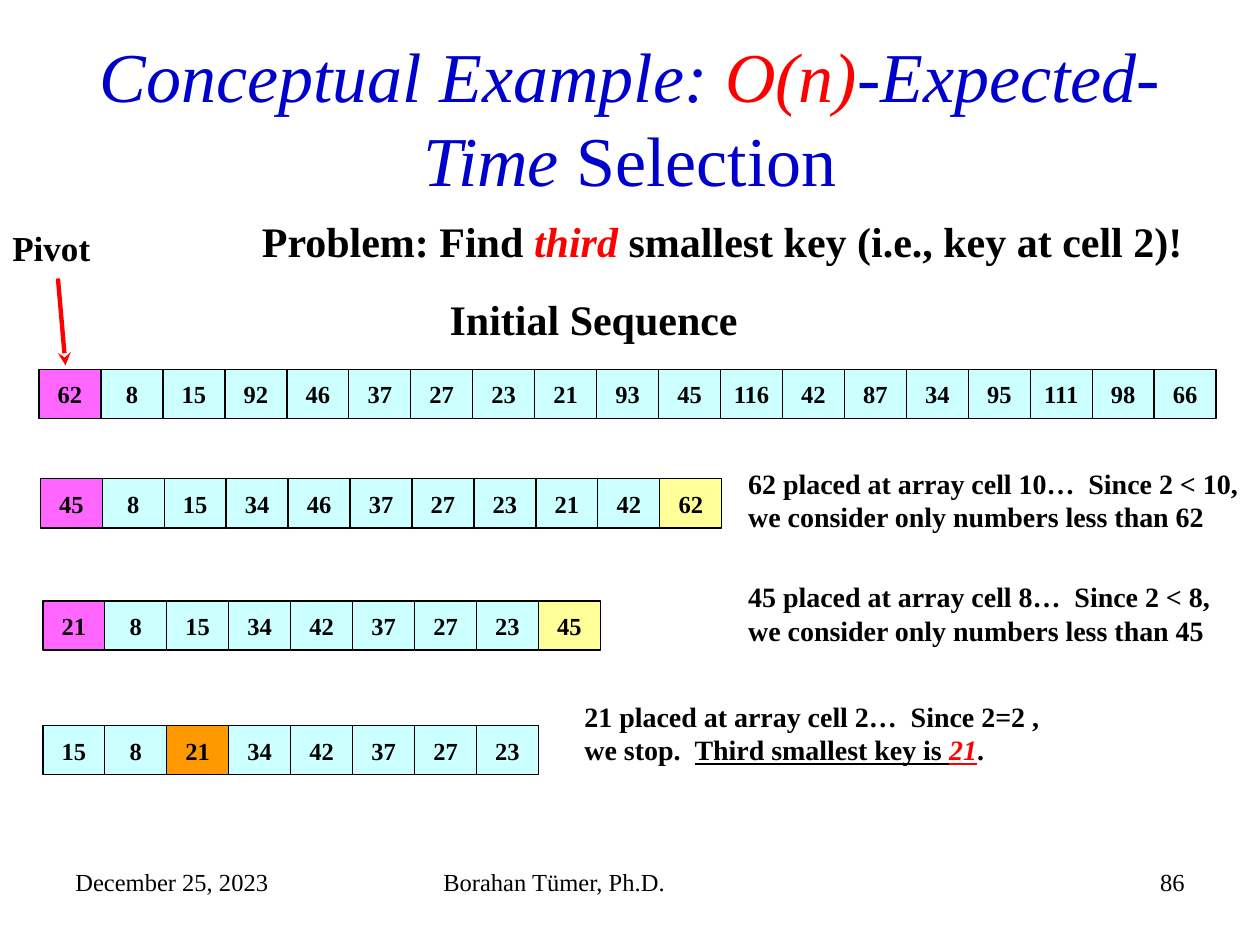
from pptx import Presentation
from pptx.dml.color import RGBColor
from pptx.enum.shapes import MSO_CONNECTOR as Connector, MSO_SHAPE as Shape
from pptx.enum.text import MSO_ANCHOR as Anchor, MSO_AUTO_SIZE as AutoSize, PP_ALIGN as Align
from pptx.oxml.ns import qn
from pptx.util import Inches, Pt
from lxml.etree import SubElement

FONT = "Times New Roman"
COLORS = {"black": "000000", "blue": "0000CC", "red": "FF0000", "pivot": "FF66FF",
          "cell": "CCFFFF", "placed": "FFFF99", "answer": "FF9900"}

TITLE = [[("Conceptual Example: ", {"italic": True}),
          ("O(n)", {"italic": True, "color": "red"}),
          ("-Expected-Time", {"italic": True}), (" Selection", {})]]

SEQUENCES = [
    (0.31, 2.93, [62, 8, 15, 92, 46, 37, 27, 23, 21, 93, 45, 116, 42, 87, 34, 95, 111, 98, 66],
     {0: "pivot"}),
    (0.32, 3.8, [45, 8, 15, 34, 46, 37, 27, 23, 21, 42, 62], {0: "pivot", 10: "placed"}),
    (0.34, 4.77, [21, 8, 15, 34, 42, 37, 27, 23, 45], {0: "pivot", 8: "placed"}),
    (0.34, 5.76, [15, 8, 21, 34, 42, 37, 27, 23], {2: "answer"}),
]
CELL_PITCH = 8.85 / 18
CELL_HEIGHT = 0.39

LABELS = [
    ((1.98, 1.66, 7.51, 0.5), 24, [[("Problem: Find ", {}),
                                  ("third", {"italic": True, "color": "red"}),
                                  (" smallest key (i.e., key at cell 2)!", {})]]),
    ((0, 1.75, 0.93, 0.43), 20, [[("Pivot", {})]]),
    ((3.47, 2.28, 2.49, 0.5), 24, [[("Initial Sequence", {})]]),
    ((5.84, 3.65, 4.16, 0.64), 16, [[("62 placed at array cell 10…  Since 2 < 10,", {})],
                                   [("we consider only numbers less than 62", {})]]),
    ((5.84, 4.55, 3.94, 0.64), 16, [[("45 placed at array cell 8…  Since 2 < 8,", {})],
                                   [("we consider only numbers less than 45", {})]]),
    ((4.54, 5.5, 3.88, 0.64), 16, [[("21 placed at array cell 2…  Since 2=2 ,", {})],
                                  [("we stop.  ", {}),
                                   ("Third smallest key is ", {"underline": True}),
                                   ("21", {"underline": True, "italic": True, "color": "red"}),
                                   (".", {})]]),
]

FOOTERS = [
    ((0.5, 6.83, 2.33, 0.52), "December 25, 2023", Align.LEFT),
    ((3.42, 6.83, 3.17, 0.52), "Borahan Tümer, Ph.D.", Align.LEFT),
    ((7.17, 6.83, 2.33, 0.52), "86", Align.RIGHT),
]


def rgb(name):
    return RGBColor.from_string(COLORS[name])


def write(frame, lines, size, bold=False, color="black", align=Align.LEFT):
    for number, spans in enumerate(lines):
        para = frame.add_paragraph() if number else frame.paragraphs[0]
        para.alignment = align
        for words, style in spans:
            span = para.add_run()
            span.text = words
            font = span.font
            font.name, font.size, font.bold = FONT, Pt(size), bold
            font.italic = style.get("italic", False)
            font.underline = style.get("underline", False)
            font.color.rgb = rgb(style.get("color", color))


def add_text(page, place, lines, size, wrap, **style):
    box = page.shapes.add_textbox(*map(Inches, place))
    box.text_frame.word_wrap = wrap
    write(box.text_frame, lines, size, **style)


def add_sequence(page, left, top, keys, marks):
    for index, key in enumerate(keys):
        cell = page.shapes.add_shape(
            Shape.RECTANGLE, Inches(left + index * CELL_PITCH), Inches(top),
            Inches(CELL_PITCH), Inches(CELL_HEIGHT))
        cell.shadow.inherit = False
        cell.fill.solid()
        cell.fill.fore_color.rgb = rgb(marks.get(index, "cell"))
        cell.line.color.rgb = rgb("black")
        cell.line.width = Pt(0.75)
        frame = cell.text_frame
        frame.word_wrap = False
        frame.vertical_anchor = Anchor.MIDDLE
        write(frame, [[(str(key), {})]], 14, bold=True, align=Align.CENTER)


def add_pivot_arrow(page):
    arrow = page.shapes.add_connector(
        Connector.STRAIGHT, Inches(0.46), Inches(2.21), Inches(0.52), Inches(2.9))
    arrow.line.color.rgb = rgb("red")
    arrow.line.width = Pt(2.5)
    SubElement(arrow.line._get_or_add_ln(), qn("a:tailEnd"), type="stealth")
    SubElement(arrow._element.spPr, qn("a:effectLst"))


def main():
    deck = Presentation()
    deck.slide_width, deck.slide_height = Inches(10), Inches(7.5)
    page = deck.slides.add_slide(deck.slide_layouts[5])

    title = page.shapes.title
    title.left, title.top, title.width, title.height = map(Inches, (0.5, 0.3, 9, 1.25))
    title.text_frame.auto_size = AutoSize.NONE
    title.text_frame.vertical_anchor = Anchor.MIDDLE
    write(title.text_frame, TITLE, 40, color="blue", align=Align.CENTER)

    for sequence in SEQUENCES:
        add_sequence(page, *sequence)
    for place, size, lines in LABELS:
        add_text(page, place, lines, size, wrap=False, bold=True)
    for place, words, align in FOOTERS:
        add_text(page, place, [[(words, {})]], 14, wrap=True, align=align)
    add_pivot_arrow(page)

    deck.save("out.pptx")


if __name__ == "__main__":
    main()
